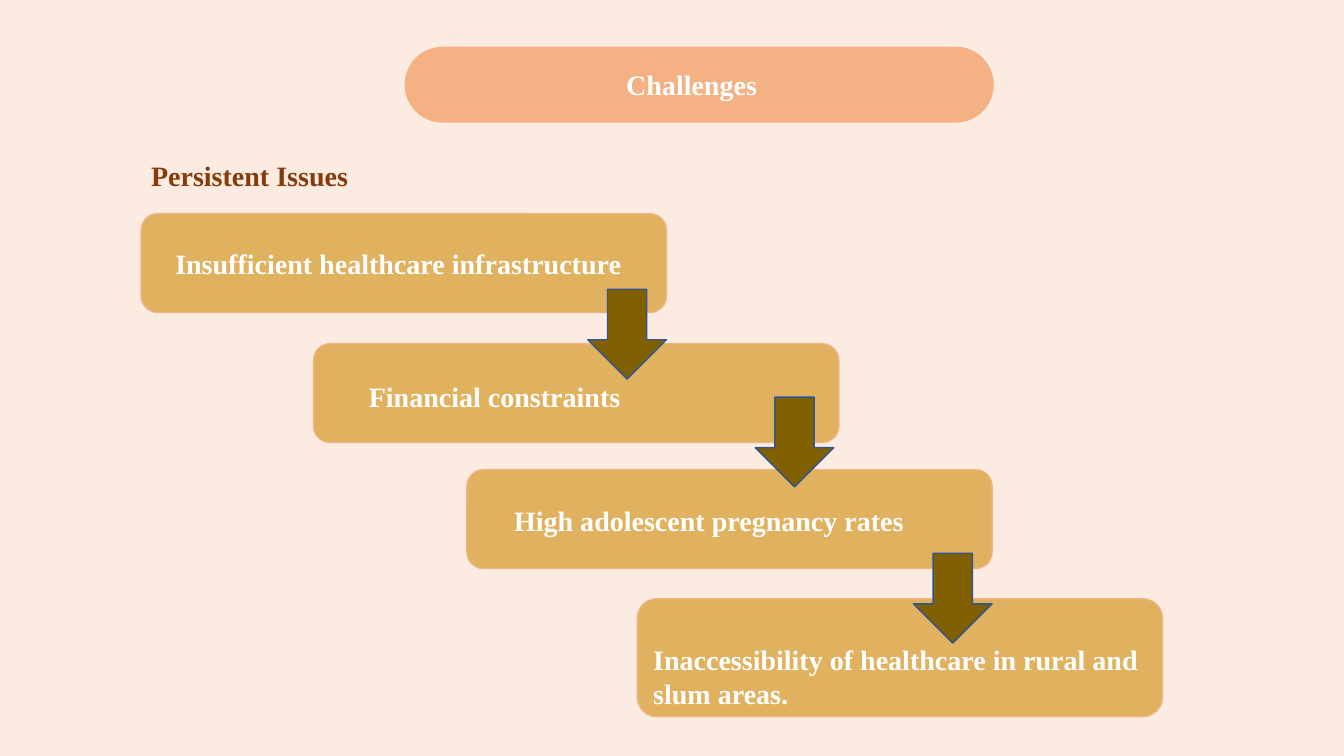
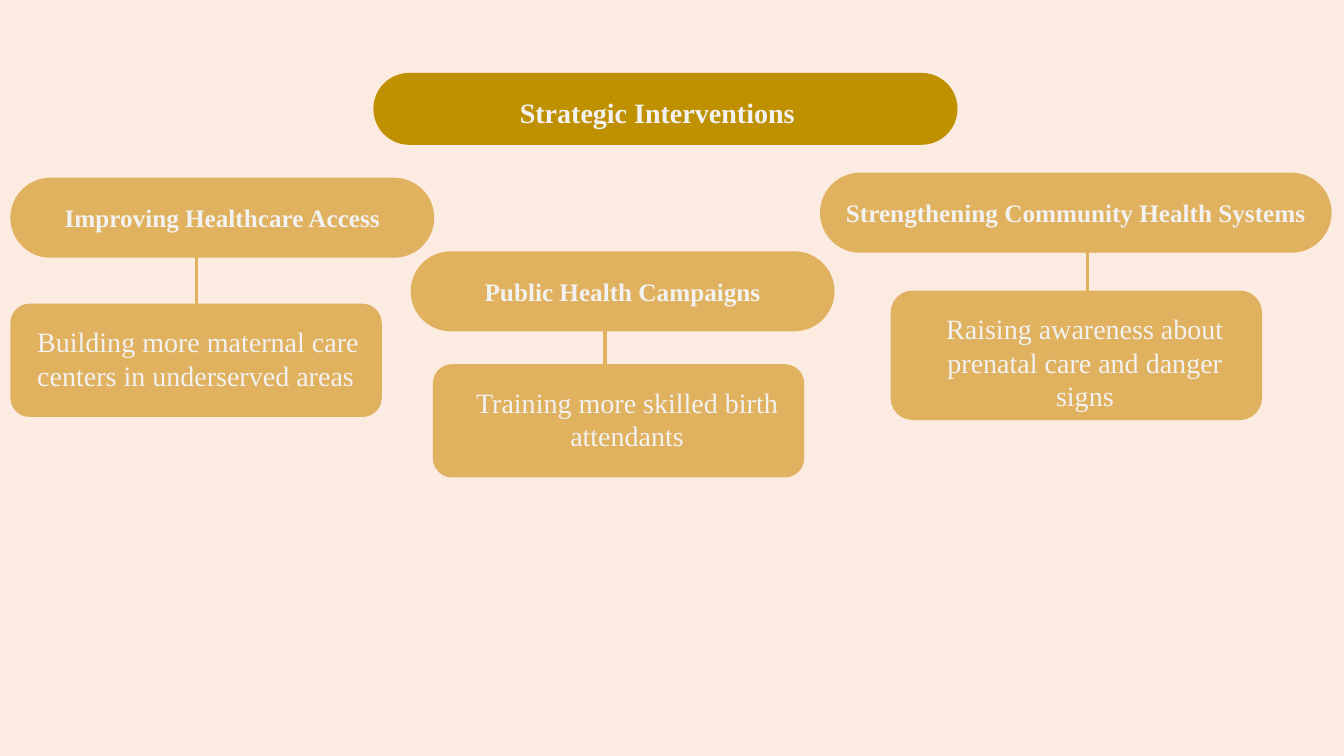
from lxml.etree import SubElement
from pptx import Presentation
from pptx.dml.color import RGBColor
from pptx.enum.shapes import MSO_CONNECTOR, MSO_SHAPE
from pptx.enum.text import MSO_ANCHOR, MSO_AUTO_SIZE, PP_ALIGN
from pptx.oxml.ns import qn
from pptx.util import Inches, Pt

FONT = "Times New Roman"
PAGE = "FCEBE0"
PEACH = "F4B183"
SAND = "E0B15E"
GOLD = "BF9000"
OLIVE = "806000"
NAVY = "325491"
BROWN = "843C0B"
WHITE = "FFFFFF"
PALE = "F2F2F2"
LEFT, MID = PP_ALIGN.LEFT, PP_ALIGN.CENTER


def tint(code):
    """Turn a hex string into a colour."""
    return RGBColor.from_string(code)


def place(box):
    """Turn left, top, width and height into lengths."""
    return [Inches(v) for v in box]


def draw(slide, kind, box, fill, line, round_off=None):
    """Draw one flat preset shape."""
    shape = slide.shapes.add_shape(kind, *place(box))
    shape.shadow.inherit = False
    shape.fill.solid()
    shape.fill.fore_color.rgb = tint(fill)
    shape.line.color.rgb = tint(line)
    shape.line.width = Pt(1)
    if round_off is not None:
        shape.adjustments[0] = round_off
    return shape


def write(shape, text, color, size=20, bold=True, align=LEFT):
    """Set and format the text of a shape."""
    frame = shape.text_frame
    frame.text = text
    frame.word_wrap = True
    frame.auto_size = MSO_AUTO_SIZE.NONE
    frame.vertical_anchor = MSO_ANCHOR.TOP
    para = frame.paragraphs[0]
    para.alignment = align
    font = para.runs[0].font
    font.name, font.size, font.bold = FONT, Pt(size), bold
    font.color.rgb = tint(color)


def label(slide, box, text, color, **style):
    """Add a text box."""
    write(slide.shapes.add_textbox(*place(box)), text, color, **style)


def pill(slide, box, fill):
    """Draw a bar with fully round ends."""
    draw(slide, MSO_SHAPE.ROUNDED_RECTANGLE, box, fill, fill, 0.5)


def start(deck, text, bar, area, fill, color):
    """Add a slide whose title sits on a pill."""
    slide = deck.slides.add_slide(deck.slide_layouts[5])
    pill(slide, bar, fill)
    title = slide.shapes.title
    title.left, title.top, title.width, title.height = place(area)
    write(title, text, color, align=MID)
    slide.shapes._spTree.append(title._element)
    return slide


def stairs(slide, steps, arrows):
    """Draw boxes stepping down, with arrows between them."""
    for box, _, _ in steps:
        draw(slide, MSO_SHAPE.ROUNDED_RECTANGLE, box, SAND, PEACH)
    for x, y in arrows:
        draw(slide, MSO_SHAPE.DOWN_ARROW, (x, y, 0.78, 0.89), OLIVE, NAVY)
    for _, area, text in steps:
        label(slide, area, text, WHITE)


def stem(slide, x, y):
    """Draw the short line from a head to its card."""
    ends = place((x, y, x, y + 0.47))
    line = slide.shapes.add_connector(MSO_CONNECTOR.STRAIGHT, *ends)
    line.line.color.rgb = tint(SAND)
    line.line.width = Pt(2.25)
    SubElement(line._element.spPr, qn("a:effectLst"))


def branch(slide, head, inset, name, card, text, align, pin):
    """Draw a head pill, its card and the line that joins them."""
    x, y, wide, high = head
    pill(slide, head, SAND)
    area = (x + inset, y + 0.19, wide - 2 * inset, 0.4)
    label(slide, area, name, PALE, size=18, align=align and MID)
    x, y, wide, high = card
    draw(slide, MSO_SHAPE.ROUNDED_RECTANGLE, card, SAND, SAND)
    area = (x + 0.16, y + 0.15, wide - 0.15, high - 0.16)
    label(slide, area, text, PALE, bold=False, align=align)
    stem(slide, *pin)


def issues(deck):
    """Build the slide of challenges."""
    slide = start(deck, "Challenges", (4.02, 0.47, 5.83, 0.74),
                  (4.63, 0.62, 4.46, 0.44), PEACH, WHITE)
    label(slide, (1.4, 1.52, 4.83, 0.44), "Persistent Issues", BROWN)
    steps = [
        ((1.4, 2.12, 5.21, 0.98), (1.64, 2.4, 4.67, 0.44),
         "Insufficient healthcare infrastructure"),
        ((3.11, 3.41, 5.21, 0.98), (3.56, 3.72, 4.3, 0.44),
         "Financial constraints"),
        ((4.63, 4.66, 5.21, 0.98), (5, 4.95, 4.45, 0.44),
         "High adolescent pregnancy rates"),
        ((6.32, 5.94, 5.21, 1.17), (6.38, 6.33, 5.14, 0.77),
         "Inaccessibility of healthcare in rural and slum areas."),
    ]
    stairs(slide, steps, [(5.83, 2.87), (7.49, 3.94), (9.06, 5.49)])


def plans(deck):
    """Build the slide of interventions."""
    slide = start(deck, "Strategic Interventions", (3.71, 0.73, 5.78, 0.7),
                  (4.3, 0.9, 4.44, 0.44), GOLD, PALE)
    branch(slide, (0.11, 1.77, 4.19, 0.78), 0.26,
           "Improving Healthcare Access", (0.11, 3.02, 3.67, 1.11),
           "Building more maternal care centers in underserved areas",
           LEFT, (1.95, 2.55))
    branch(slide, (4.08, 2.5, 4.19, 0.78), 0.26,
           "Public Health Campaigns", (4.3, 3.62, 3.67, 1.11),
           "Training more skilled birth attendants", MID, (6, 3.19))
    branch(slide, (8.14, 1.72, 5.06, 0.78), 0.13,
           "Strengthening Community Health Systems",
           (8.84, 2.89, 3.67, 1.27),
           "Raising awareness about prenatal care and danger signs",
           MID, (10.79, 2.45))


def main():
    """Build and save the deck."""
    deck = Presentation()
    deck.slide_width, deck.slide_height = Inches(13.33), Inches(7.5)
    back = deck.slide_master.background.fill
    back.solid()
    back.fore_color.rgb = tint(PAGE)
    issues(deck)
    plans(deck)
    deck.save("out.pptx")


if __name__ == "__main__":
    main()
